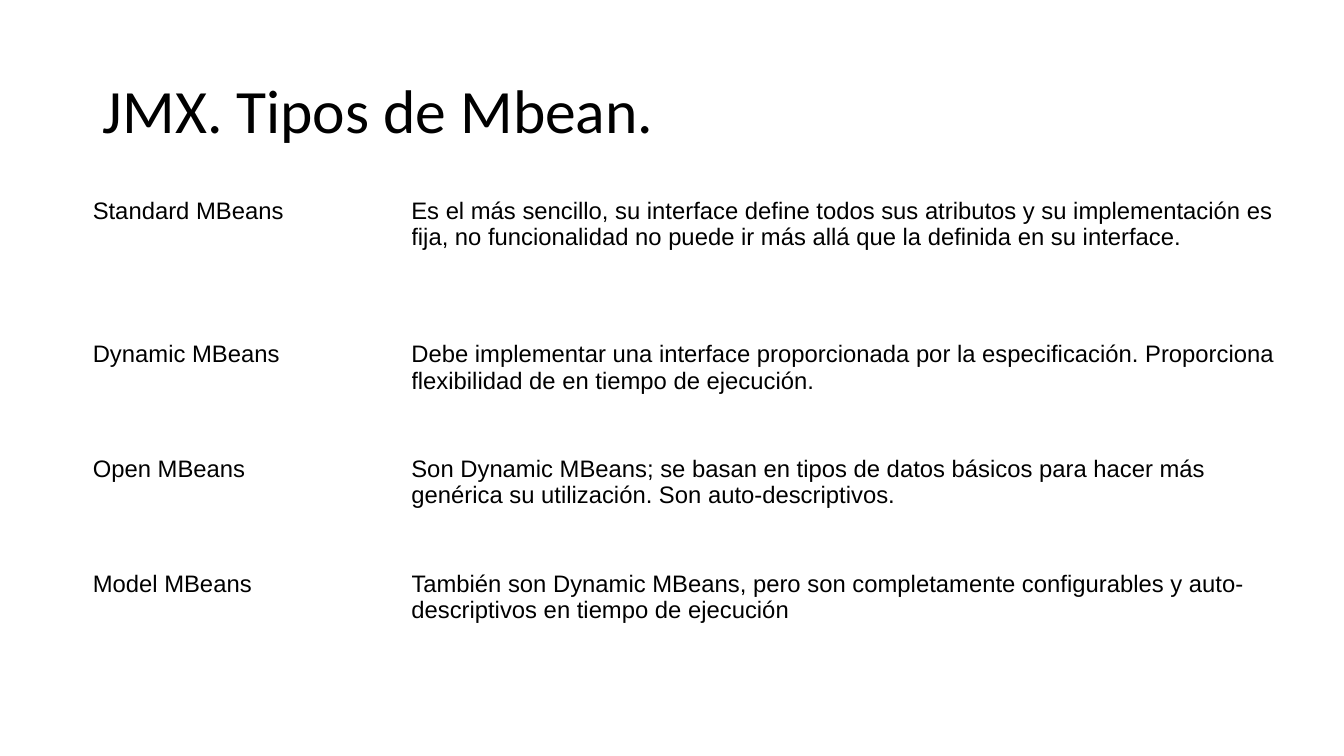
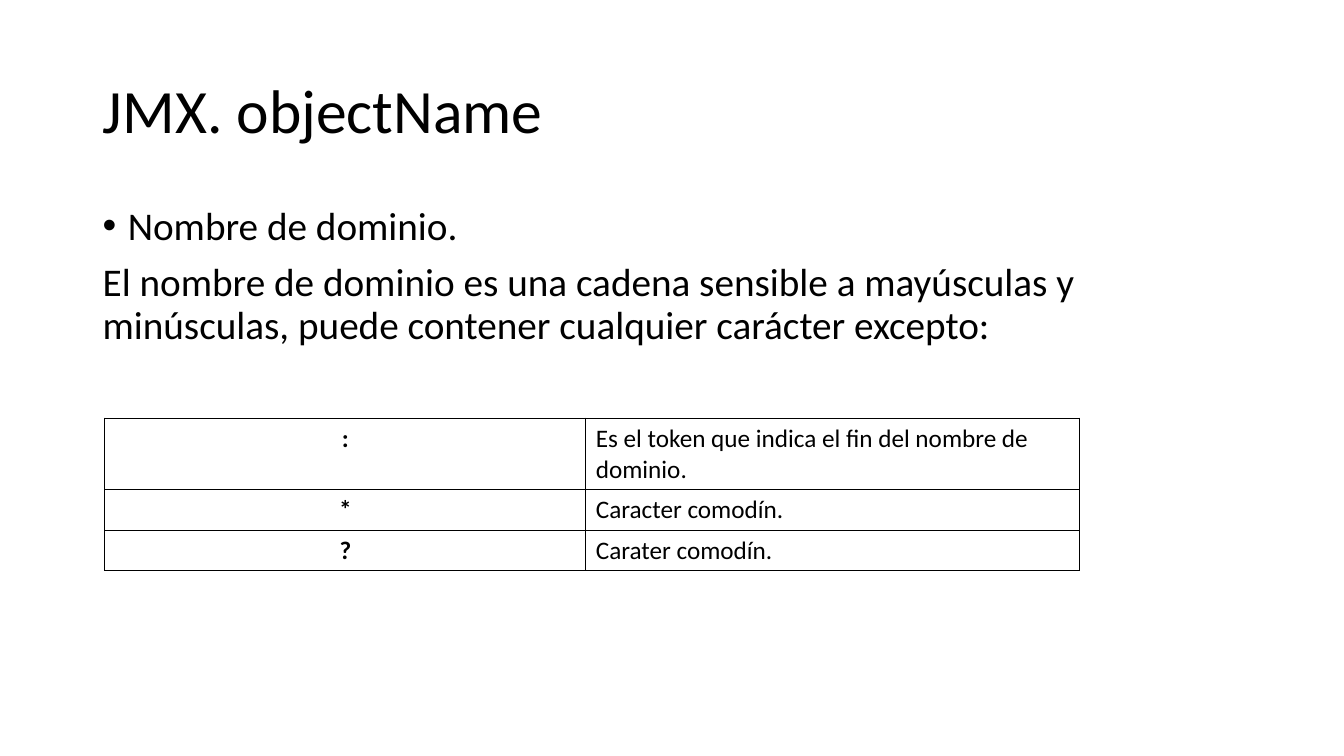
from lxml.etree import SubElement
from pptx import Presentation
from pptx.dml.color import RGBColor
from pptx.enum.text import MSO_ANCHOR as Anchor, MSO_AUTO_SIZE as AutoSize, PP_ALIGN as Align
from pptx.oxml.ns import qn
from pptx.util import Inches, Pt

COLORS = {"text": "000000", "background": "FFFFFF", "border": "000000"}
TITLE_FONT = {"name": "Calibri", "size": Pt(44), "bold": False}
BODY_FONT = {"name": "Calibri", "size": Pt(28)}
TYPES_FONT = {"name": "Arial", "size": Pt(17), "bold": False}
TOKEN_FONT = {"name": "Calibri", "size": Pt(18), "bold": True}
MEANING_FONT = {**TOKEN_FONT, "bold": False}
TITLE_FRAME = {"word_wrap": True, "auto_size": AutoSize.NONE, "vertical_anchor": Anchor.MIDDLE}
BODY_FRAME = {"word_wrap": True, "vertical_anchor": Anchor.TOP}
NO_MARGINS = {f"margin_{side}": 0 for side in ("left", "top", "right", "bottom")}
PLAIN_TABLE = {"first_row": False, "horz_banding": False}
TITLE_LINES = {"line_spacing": 0.9, "alignment": Align.LEFT}
BODY_LINES = {"line_spacing": 0.9, "space_before": Pt(10)}

MBEAN_TYPES = [
    ("Standard MBeans", "Es el más sencillo, su interface define todos sus atributos y su implementación es "
     "fija, no funcionalidad no puede ir más allá que la definida en su interface."),
    ("Dynamic MBeans", "Debe implementar una interface proporcionada por la especificación. Proporciona "
     "flexibilidad de en tiempo de ejecución."),
    ("Open MBeans", "Son Dynamic MBeans; se basan en tipos de datos básicos para hacer más "
     "genérica su utilización. Son auto-descriptivos."),
    ("Model MBeans", "También son Dynamic MBeans, pero son completamente configurables y "
     "auto-descriptivos en tiempo de ejecución"),
]
DOMAIN_TEXT = [
    ("Nombre de dominio.", True),
    ("El nombre de dominio es una cadena sensible a mayúsculas y minúsculas, "
     "puede contener cualquier carácter excepto:", False),
]
RESERVED_TOKENS = [
    (":", "Es el token que indica el fin del nombre de dominio."),
    ("*", "Caracter comodín."),
    ("?", "Carater comodín."),
]


def apply_format(target, values):
    for name, value in values.items():
        setattr(target, name, value)


def write_text(paragraph, text, font, lines):
    run = paragraph.add_run()
    run.text = text
    apply_format(run.font, font)
    run.font.color.rgb = RGBColor.from_string(COLORS["text"])
    apply_format(paragraph, lines)


def add_titled_slide(presentation, text):
    slide = presentation.slides.add_slide(presentation.slide_layouts[5])
    fill = slide.background.fill
    fill.solid()
    fill.fore_color.rgb = RGBColor.from_string(COLORS["background"])
    title = slide.shapes.title
    apply_format(title, {"left": Inches(0.92), "top": Inches(0.4),
                         "width": Inches(11.5), "height": Inches(1.45)})
    apply_format(title.text_frame, TITLE_FRAME)
    write_text(title.text_frame.paragraphs[0], text, TITLE_FONT, TITLE_LINES)
    return slide


def add_bullet(paragraph):
    properties = paragraph._p.get_or_add_pPr()
    properties.set("marL", str(Inches(0.25)))
    properties.set("indent", str(Inches(-0.25)))
    SubElement(properties, qn("a:buFont"), typeface="Arial")
    SubElement(properties, qn("a:buChar"), char="•")


def add_body(slide, left, top, width, height, entries):
    shape = slide.shapes.add_textbox(Inches(left), Inches(top), Inches(width), Inches(height))
    frame = shape.text_frame
    apply_format(frame, BODY_FRAME)
    for index, (text, bulleted) in enumerate(entries):
        paragraph = frame.add_paragraph() if index else frame.paragraphs[0]
        write_text(paragraph, text, BODY_FONT, BODY_LINES)
        if bulleted:
            add_bullet(paragraph)


def add_borders(cell):
    properties = cell._tc.get_or_add_tcPr()
    for position, side in enumerate(("lnL", "lnR", "lnT", "lnB")):
        line = properties.makeelement(qn(f"a:{side}"), {"w": str(Pt(1))})
        fill = SubElement(line, qn("a:solidFill"))
        SubElement(fill, qn("a:srgbClr"), val=COLORS["border"])
        properties.insert(position, line)


def add_plain_table(slide, left, top, widths, heights, rows, columns, margins, bordered):
    shape = slide.shapes.add_table(len(rows), len(widths), Inches(left), Inches(top),
                                   Inches(sum(widths)), Inches(sum(heights)))
    table = shape.table
    apply_format(table, PLAIN_TABLE)
    for column, width in zip(table.columns, widths):
        column.width = Inches(width)
    for row, height, texts in zip(table.rows, heights, rows):
        row.height = Inches(height)
        for cell, text, (font, alignment) in zip(row.cells, texts, columns):
            apply_format(cell, margins)
            cell.fill.solid()
            cell.fill.fore_color.rgb = RGBColor.from_string(COLORS["background"])
            write_text(cell.text_frame.paragraphs[0], text, font, {"alignment": alignment})
            if bordered:
                add_borders(cell)


def build_types_slide(presentation):
    slide = add_titled_slide(presentation, "JMX. Tipos de Mbean.")
    add_plain_table(slide, 0.92, 1.96, [3.16, 8.67], [1.42] + [1.14] * 3, MBEAN_TYPES,
                    [(TYPES_FONT, Align.LEFT)] * 2, NO_MARGINS, False)


def build_name_slide(presentation):
    slide = add_titled_slide(presentation, "JMX. objectName")
    add_body(slide, 0.92, 2, 11.5, 1.6, DOMAIN_TEXT)
    add_plain_table(slide, 1.04, 4.15, [4.77, 4.9], [0.71, 0.4, 0.4], RESERVED_TOKENS,
                    [(TOKEN_FONT, Align.CENTER), (MEANING_FONT, Align.LEFT)], {}, True)


def main():
    presentation = Presentation()
    apply_format(presentation, {"slide_width": Inches(13.33), "slide_height": Inches(7.5)})
    build_types_slide(presentation)
    build_name_slide(presentation)
    presentation.save("out.pptx")


if __name__ == "__main__":
    main()
